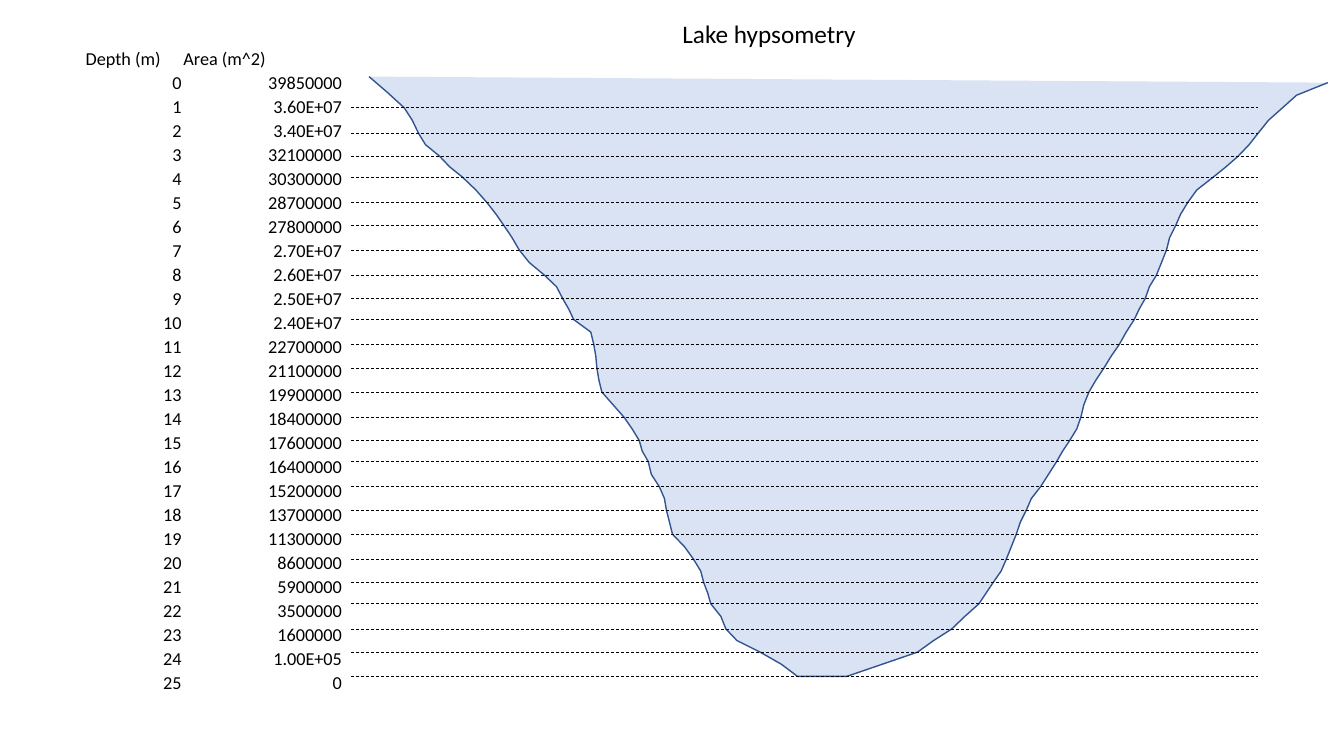
from dataclasses import dataclass
from itertools import accumulate, cycle, islice

from lxml.etree import SubElement
from pptx import Presentation
from pptx.dml.color import RGBColor
from pptx.enum.dml import MSO_LINE
from pptx.enum.shapes import MSO_CONNECTOR
from pptx.enum.text import MSO_ANCHOR, MSO_AUTO_SIZE, PP_ALIGN
from pptx.oxml.ns import qn
from pptx.util import Inches, Pt


@dataclass(frozen=True)
class Theme:
    font: str = "Calibri"
    ink: RGBColor = RGBColor(0, 0, 0)
    water: RGBColor = RGBColor(0xDA, 0xE3, 0xF3)
    shore: RGBColor = RGBColor(0x32, 0x54, 0x91)
    title_size: int = 18
    table_size: int = 13
    shore_width: float = 1
    level_width: float = 0.5


THEME = Theme()
TITLE = "Lake hypsometry"
HEADINGS = ("Depth (m)", "Area (m^2)")
AREA_AND_SHORES_AT_DEPTH_AND_HALF_METRE_BELOW = (
    ("39850000", (3.66, 13.17), (3.84, 12.86)),
    ("3.60E+07", (4.01, 12.72), (4.09, 12.58)),
    ("3.40E+07", (4.15, 12.48), (4.22, 12.39)),
    ("32100000", (4.36, 12.28), (4.46, 12.16)),
    ("30300000", (4.59, 12.03), (4.72, 11.87)),
    ("28700000", (4.83, 11.78), (4.92, 11.71)),
    ("27800000", (5.00, 11.66), (5.08, 11.60)),
    ("2.70E+07", (5.15, 11.57), (5.25, 11.52)),
    ("2.60E+07", (5.40, 11.47), (5.52, 11.40)),
    ("2.50E+07", (5.58, 11.36), (5.64, 11.30)),
    ("2.40E+07", (5.69, 11.25), (5.86, 11.17)),
    ("22700000", (5.89, 11.10), (5.91, 11.02)),
    ("21100000", (5.92, 10.95), (5.94, 10.87)),
    ("19900000", (5.97, 10.80), (6.08, 10.75)),
    ("18400000", (6.19, 10.72), (6.27, 10.68)),
    ("17600000", (6.34, 10.61), (6.37, 10.54)),
    ("16400000", (6.43, 10.48), (6.46, 10.40)),
    ("15200000", (6.54, 10.32), (6.59, 10.23)),
    ("13700000", (6.61, 10.18), (6.64, 10.12)),
    ("11300000", (6.67, 10.08), (6.79, 10.03)),
    ("8600000", (6.88, 9.98), (6.95, 9.93)),
    ("5900000", (6.98, 9.85), (7.02, 9.78)),
    ("3500000", (7.05, 9.71), (7.15, 9.57)),
    ("1600000", (7.20, 9.44), (7.31, 9.26)),
    ("1.00E+05", (7.54, 9.10), (7.75, 8.75)),
    ("0", (7.91, 8.40)),
)
AREAS = [area for area, *_ in AREA_AND_SHORES_AT_DEPTH_AND_HALF_METRE_BELOW]
SHORES = [pairs for _, *pairs in AREA_AND_SHORES_AT_DEPTH_AND_HALF_METRE_BELOW]

TABLE_LEFT, TABLE_TOP = 0.84, 0.26
COLUMN_WIDTHS = (0.97, 1.59)
HEADING_HEIGHT, DEPTHS_HEIGHT = 0.44, 6.2
LEVEL_LEFT, LEVEL_RIGHT = 3.48, 12.48
WEST_SURFACE, EAST_SURFACE = 0.76, 0.82
FIRST_LEVEL = 1.07
LEVEL_GAPS = (0.25, 0.23, 0.21, 0.25, 0.23, 0.24)
LEVEL_COUNT = len(AREAS) - 1
LEVELS = list(islice(accumulate(cycle(LEVEL_GAPS), initial=FIRST_LEVEL), LEVEL_COUNT))


def write(paragraph, wording, size):
    run = paragraph.add_run()
    run.text = wording
    run.font.name = THEME.font
    run.font.size = Pt(size)
    run.font.bold = False
    run.font.color.rgb = THEME.ink


def add_depth_table(slide):
    rows = [HEADINGS] + [(str(depth), area) for depth, area in enumerate(AREAS)]
    table = slide.shapes.add_table(
        len(rows), len(HEADINGS), Inches(TABLE_LEFT), Inches(TABLE_TOP),
        Inches(sum(COLUMN_WIDTHS)), Inches(HEADING_HEIGHT + DEPTHS_HEIGHT),
    ).table
    table.first_row = table.horz_banding = False
    for column, width in zip(table.columns, COLUMN_WIDTHS):
        column.width = Inches(width)
    for index, entries in enumerate(rows):
        height = DEPTHS_HEIGHT / len(AREAS) if index else HEADING_HEIGHT
        table.rows[index].height = Inches(height)
        for cell, entry in zip(table.rows[index].cells, entries):
            cell.fill.background()
            cell.vertical_anchor = MSO_ANCHOR.BOTTOM
            cell.margin_left = cell.margin_right = cell.margin_top = Inches(0.01)
            cell.margin_bottom = 0
            paragraph = cell.text_frame.paragraphs[0]
            paragraph.alignment = PP_ALIGN.RIGHT if index else PP_ALIGN.LEFT
            write(paragraph, entry, THEME.table_size)


def shore_points(side, surface):
    heights = [surface] + LEVELS
    points = []
    for depth, pairs in enumerate(SHORES):
        top = heights[depth]
        below = heights[min(depth + 1, LEVEL_COUNT)]
        for pair, y in zip(pairs, (top, (top + below) / 2)):
            points.append((Inches(pair[side]), Inches(y)))
    return points


def add_basin(slide):
    west = shore_points(0, WEST_SURFACE)
    east = shore_points(1, EAST_SURFACE)
    start, *shore = west + east[::-1]
    outline = slide.shapes.build_freeform(*start)
    outline.add_line_segments(shore, close=False)
    basin = outline.convert_to_shape()
    basin.shadow.inherit = False
    basin.fill.solid()
    basin.fill.fore_color.rgb = THEME.water
    basin.line.color.rgb = THEME.shore
    basin.line.width = Pt(THEME.shore_width)


def add_depth_level(slide, y):
    level = slide.shapes.add_connector(
        MSO_CONNECTOR.STRAIGHT,
        Inches(LEVEL_LEFT), Inches(y), Inches(LEVEL_RIGHT), Inches(y),
    )
    level.line.color.rgb = THEME.ink
    level.line.width = Pt(THEME.level_width)
    level.line.dash_style = MSO_LINE.DASH
    SubElement(level._element.spPr, qn("a:effectLst"))


def add_title(slide):
    title = slide.shapes.add_textbox(Inches(6.67), Inches(0.13), Inches(1.94), Inches(0.4))
    title.text_frame.word_wrap = False
    title.text_frame.auto_size = MSO_AUTO_SIZE.SHAPE_TO_FIT_TEXT
    write(title.text_frame.paragraphs[0], TITLE, THEME.title_size)


def main():
    deck = Presentation()
    deck.slide_width, deck.slide_height = Inches(13.33), Inches(7.5)
    slide = deck.slides.add_slide(deck.slide_layouts[6])
    add_depth_table(slide)
    add_basin(slide)
    for y in LEVELS:
        add_depth_level(slide, y)
    add_title(slide)
    deck.save("out.pptx")


if __name__ == "__main__":
    main()
